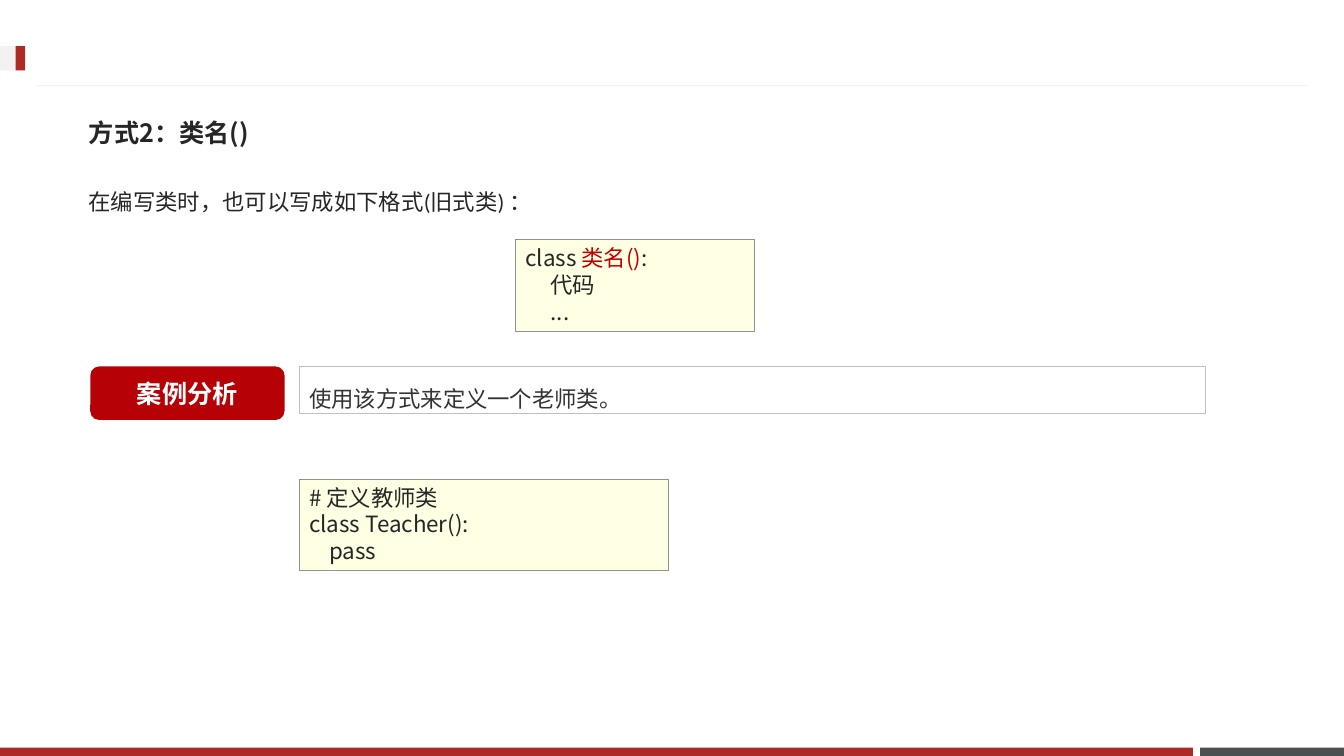
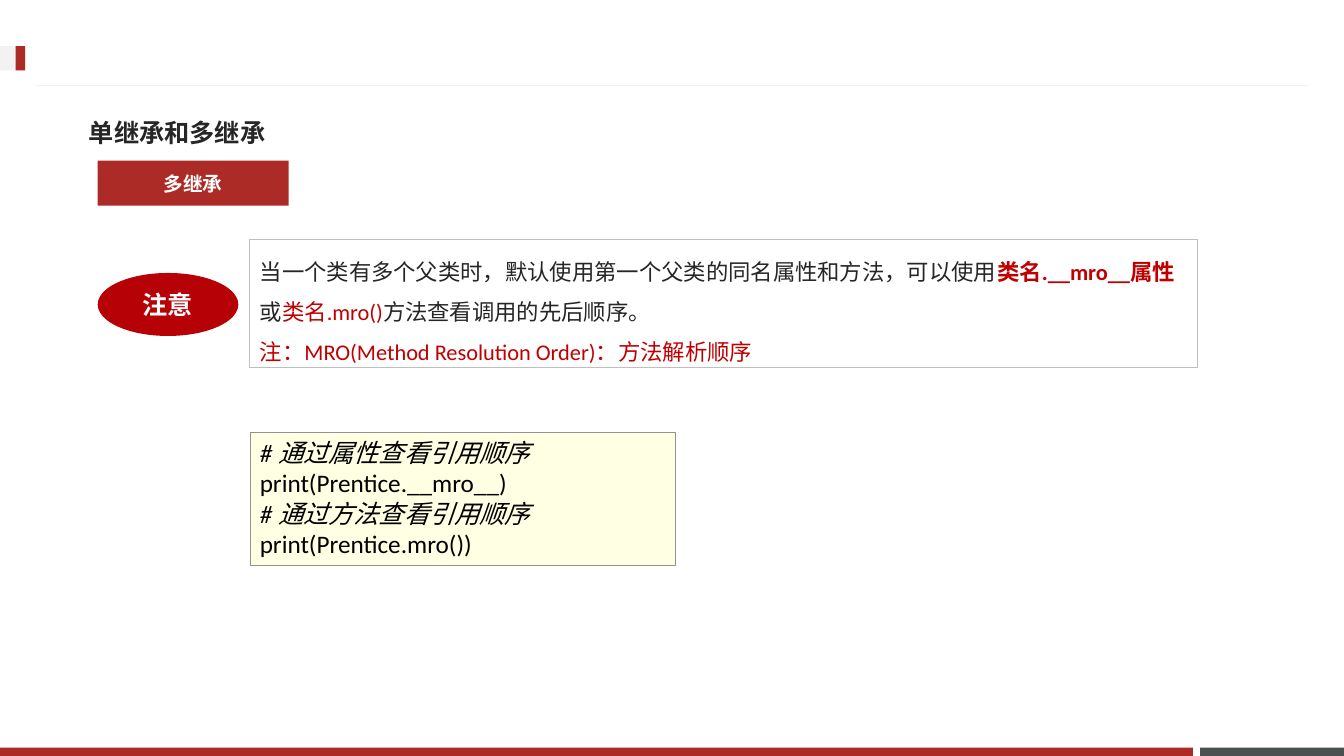
"""Build two course slides on defining classes and on multiple inheritance."""
from dataclasses import dataclass
from typing import Any, NamedTuple

import lxml.etree
import pptx
import pptx.dml.color
import pptx.enum.shapes
import pptx.enum.text
import pptx.oxml.ns
import pptx.util

PIXEL = 9525
SLIDE_WIDTH, SLIDE_HEIGHT = 1280, 720
CJK_FONT = "Noto Sans CJK JP"
COLORS = {
    "band": "AD2B26",
    "slate": "49504F",
    "pale": "F2F2F2",
    "badge": "B60206",
    "cream": "FFFFE4",
    "code_edge": "919191",
    "note_edge": "BFBFBF",
    "ink": "262626",
    "gray_ink": "333333",
    "accent": "C00000",
    "white": "FFFFFF",
    "black": "000000",
}
SHAPES = pptx.enum.shapes.MSO_SHAPE
ALIGN = pptx.enum.text.PP_ALIGN
ANCHOR = pptx.enum.text.MSO_ANCHOR


class Box(NamedTuple):
    """Position and size in px."""

    left: int
    top: int
    width: int
    height: int

    def emu(self) -> tuple[int, ...]:
        """Return the four lengths in EMU."""
        return tuple(length * PIXEL for length in self)


class Piece(NamedTuple):
    """A stretch of text whose look may differ from its style."""

    text: str
    color: str = ""
    bold: bool = False
    italic: bool = False


class Line(NamedTuple):
    """One paragraph with an optional left indent in px."""

    pieces: tuple[Piece, ...]
    indent: int = 0


@dataclass(frozen=True)
class TextStyle:
    """Look of the text in a frame."""

    font: str
    size: int
    color: str = "ink"
    bold: bool = False
    align: Any = ALIGN.LEFT
    anchor: Any = ANCHOR.TOP
    spacing: float = 1.0


@dataclass(frozen=True)
class Panel:
    """A shape that carries text."""

    box: Box
    style: TextStyle
    lines: tuple[Line, ...]
    shape: Any = SHAPES.RECTANGLE
    fill: str = ""
    edge: str = ""
    edge_width: float = 0.75


@dataclass(frozen=True)
class Page:
    """A slide's title and panels."""

    title: str
    panels: tuple[Panel, ...]


TITLE_BOX = Box(75, 99, 1123, 55)
TITLE_STYLE = TextStyle(CJK_FONT, 18, bold=True, anchor=ANCHOR.MIDDLE)
BODY_STYLE = TextStyle("Calibri", 16, spacing=1.5)
TASK_STYLE = TextStyle("Open Sans", 16, "gray_ink", spacing=1.5)
CODE_STYLE = TextStyle(CJK_FONT, 16)
PRINT_STYLE = TextStyle("Calibri", 18, "black")
BANDS = (
    (Box(1143, 712, 137, 8), "slate"),
    (Box(0, 712, 1136, 8), "band"),
    (Box(0, 44, 24, 23), "pale"),
    (Box(15, 44, 9, 23), "band"),
)


def line(*pieces: str | Piece, indent: int = 0) -> Line:
    """Make a paragraph from plain strings and formatted pieces."""
    return Line(tuple(Piece(piece) if isinstance(piece, str) else piece for piece in pieces), indent)


def badge(box: Box, text: str, shape: Any, fill: str = "badge", size: int = 18) -> Panel:
    """Make a filled label with centred white text."""
    style = TextStyle("Roboto", size, "white", True, ALIGN.CENTER, ANCHOR.MIDDLE)
    return Panel(box, style, (line(text),), shape, fill)


def note(box: Box, style: TextStyle, *lines: Line) -> Panel:
    """Make an outlined explanation."""
    return Panel(box, style, lines, edge="note_edge")


def code(box: Box, style: TextStyle, *lines: Line) -> Panel:
    """Make a cream code listing."""
    return Panel(box, style, lines, fill="cream", edge="code_edge", edge_width=0.25)


PAGES = (
    Page("方式2：类名()", (
        Panel(Box(75, 162, 800, 45), BODY_STYLE, (line("在编写类时，也可以写成如下格式(旧式类) ："),)),
        badge(Box(86, 349, 185, 51), "案例分析", SHAPES.ROUNDED_RECTANGLE),
        note(Box(285, 349, 863, 45), TASK_STYLE, line("使用该方式来定义一个老师类。")),
        code(
            Box(285, 456, 351, 87), CODE_STYLE,
            line("# 定义教师类"),
            line("class Teacher():"),
            line("pass", indent=19),
        ),
        code(
            Box(491, 228, 227, 87), CODE_STYLE,
            line("class ", Piece("类名()", "accent"), ":"),
            line("代码", indent=24),
            line("...", indent=24),
        ),
    )),
    Page("单继承和多继承", (
        badge(Box(93, 153, 182, 43), "多继承", SHAPES.RECTANGLE, "band", 14),
        note(
            Box(238, 228, 903, 122), BODY_STYLE,
            line(
                "当一个类有多个父类时，默认使用第一个父类的同名属性和方法，可以使用",
                Piece("类名.__mro__属性", "accent", bold=True),
                "或",
                Piece("类名.mro()", "accent"),
                "方法查看调用的先后顺序。",
            ),
            line(Piece("注：MRO(Method Resolution Order)：方法解析顺序", "accent")),
        ),
        badge(Box(93, 260, 134, 60), "注意", SHAPES.OVAL),
        code(
            Box(238, 412, 405, 126), PRINT_STYLE,
            line(Piece("# 通过属性查看引用顺序", italic=True)),
            line("print(Prentice.__mro__)"),
            line(Piece("# 通过方法查看引用顺序", italic=True)),
            line("print(Prentice.mro())"),
        ),
    )),
)


def rgb(name: str) -> pptx.dml.color.RGBColor:
    """Look up a named colour."""
    return pptx.dml.color.RGBColor.from_string(COLORS[name])


def format_run(run: Any, style: TextStyle, piece: Piece) -> None:
    """Apply a style and a piece's own look to a run."""
    font = run.font
    font.name = style.font
    font.size = pptx.util.Pt(style.size)
    font.bold = style.bold or piece.bold
    font.italic = piece.italic
    font.color.rgb = rgb(piece.color or style.color)
    properties = run._r.get_or_add_rPr()
    lxml.etree.SubElement(properties, pptx.oxml.ns.qn("a:ea")).set("typeface", CJK_FONT)


def write_lines(frame: Any, style: TextStyle, lines: tuple[Line, ...]) -> None:
    """Fill a text frame with formatted paragraphs."""
    frame.word_wrap = True
    frame.auto_size = pptx.enum.text.MSO_AUTO_SIZE.NONE
    frame.vertical_anchor = style.anchor
    for index, content in enumerate(lines):
        paragraph = frame.add_paragraph() if index else frame.paragraphs[0]
        paragraph.alignment = style.align
        paragraph.line_spacing = style.spacing
        if content.indent:
            paragraph._p.get_or_add_pPr().set("marL", str(content.indent * PIXEL))
        for piece in content.pieces:
            run = paragraph.add_run()
            run.text = piece.text
            format_run(run, style, piece)


def add_block(slide: Any, kind: Any, box: Box, fill: str, edge: str = "", edge_width: float = 0.75) -> Any:
    """Add a flat preset shape."""
    shape = slide.shapes.add_shape(kind, *box.emu())
    shape.shadow.inherit = False
    if fill:
        shape.fill.solid()
        shape.fill.fore_color.rgb = rgb(fill)
    else:
        shape.fill.background()
    if edge:
        shape.line.color.rgb = rgb(edge)
        shape.line.width = pptx.util.Pt(edge_width)
    else:
        shape.line.fill.background()
    return shape


def add_panel(slide: Any, panel: Panel) -> None:
    """Draw a panel, as a text box when it has neither fill nor edge."""
    if panel.fill or panel.edge:
        shape = add_block(slide, panel.shape, panel.box, panel.fill, panel.edge, panel.edge_width)
    else:
        shape = slide.shapes.add_textbox(*panel.box.emu())
    write_lines(shape.text_frame, panel.style, panel.lines)


def add_header_rule(slide: Any) -> Any:
    """Add the thin line under the header."""
    ends = (length * PIXEL for length in (1246, 81, 34, 81))
    rule = slide.shapes.add_connector(pptx.enum.shapes.MSO_CONNECTOR.STRAIGHT, *ends)
    rule.line.color.rgb = rgb("pale")
    rule.line.width = pptx.util.Pt(0.75)
    lxml.etree.SubElement(rule.element.spPr, pptx.oxml.ns.qn("a:effectLst"))
    return rule


def furnish_layout(layout: Any, slide: Any) -> None:
    """Place the title and move the shared bands from a slide to its layout."""
    for placeholder in list(layout.placeholders):
        if placeholder.placeholder_format.idx:
            layout.shapes.element.remove(placeholder.element)
        else:
            placeholder.left, placeholder.top, placeholder.width, placeholder.height = TITLE_BOX.emu()
    parts = [add_block(slide, SHAPES.RECTANGLE, box, color) for box, color in BANDS]
    parts.append(add_header_rule(slide))
    for part in parts:
        layout.shapes.element.append(part.element)


def main() -> None:
    """Build and save the presentation."""
    presentation = pptx.Presentation()
    presentation.slide_width = SLIDE_WIDTH * PIXEL
    presentation.slide_height = SLIDE_HEIGHT * PIXEL
    layout = presentation.slide_layouts.get_by_name("Title Only")
    for index, page in enumerate(PAGES):
        slide = presentation.slides.add_slide(layout)
        if index == 0:
            furnish_layout(layout, slide)
        write_lines(slide.shapes.title.text_frame, TITLE_STYLE, (line(page.title),))
        for panel in page.panels:
            add_panel(slide, panel)
    presentation.save("out.pptx")


if __name__ == "__main__":
    main()
